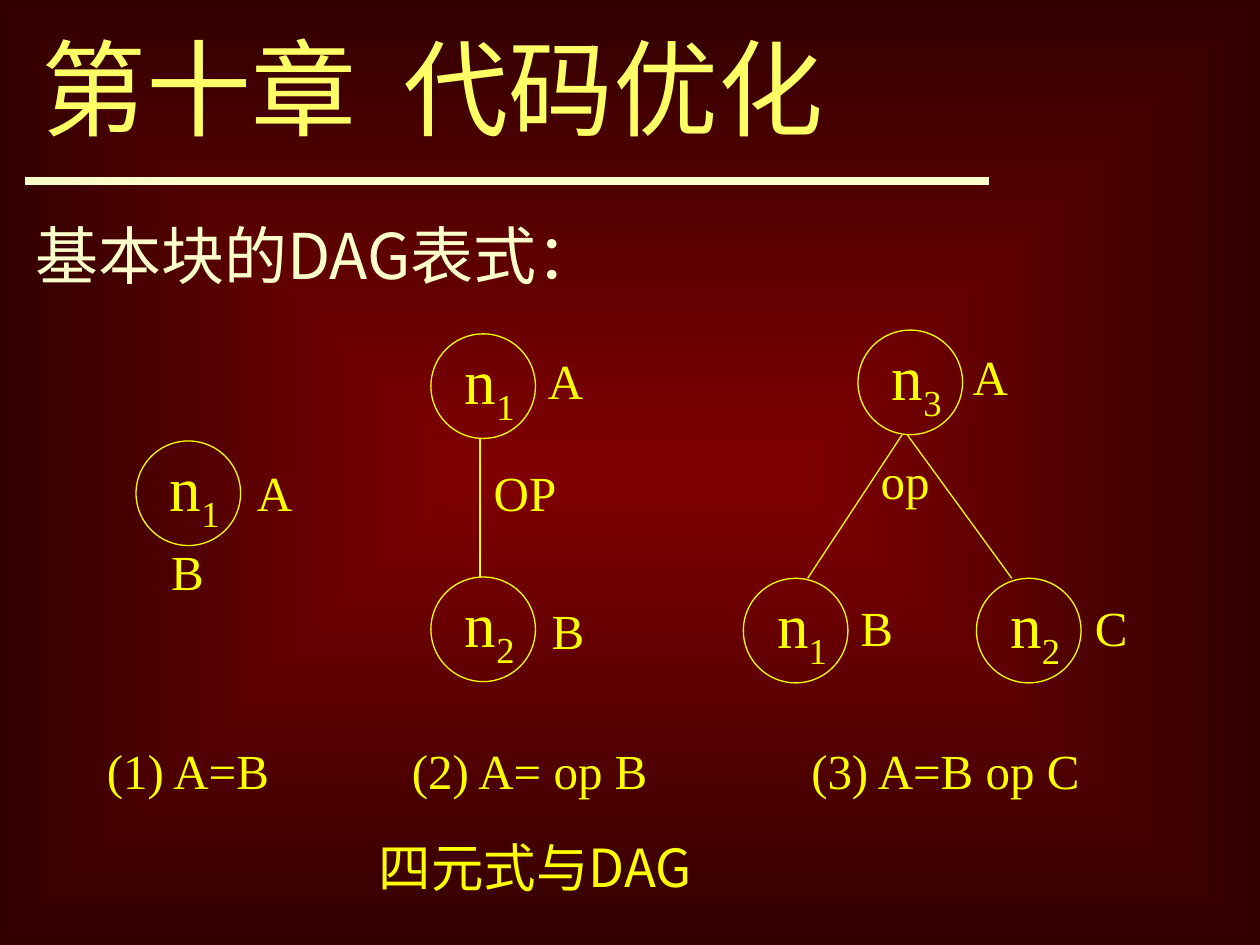
from lxml import etree
from pptx import Presentation
from pptx.dml.color import RGBColor
from pptx.enum.shapes import MSO_CONNECTOR as Connector, MSO_SHAPE as Shape
from pptx.enum.text import MSO_ANCHOR as Anchor, MSO_AUTO_SIZE as AutoSize, PP_ALIGN as Align
from pptx.oxml.ns import qn
from pptx.util import Inches, Pt

YELLOW, CREAM, TITLE_YELLOW = "FFFF00", "FFFFCC", "FFFF66"
SERIF, HAN, SANS = "Times New Roman", "Noto Sans CJK SC", "Arial"
DIAMETER = 0.83
SLACK = 0.03  # spare width that keeps each label on one line


def color(value):
    return RGBColor.from_string(value)


class SlideBuilder:
    """Holds the style and the current slide."""

    def __init__(self, presentation):
        self.slide = presentation.slides.add_slide(presentation.slide_layouts[5])

    def background(self, inner, outer):
        fill = self.slide.background.fill
        fill.gradient()
        for stop, value in zip(fill.gradient_stops, (inner, outer)):
            stop.color.rgb = color(value)
        gradient = self.slide.element.find(".//" + qn("a:gradFill"))
        gradient.remove(gradient.find(qn("a:lin")))
        path = etree.SubElement(gradient, qn("a:path"), path="rect")
        etree.SubElement(path, qn("a:fillToRect"), l="50000", t="50000", r="50000", b="50000")

    def format_run(self, run, size, value, font):
        run.font.size = Pt(size)
        run.font.name = font
        run.font.color.rgb = color(value)
        east_asian = etree.Element(qn("a:ea"), typeface=HAN)
        run.font._element.find(qn("a:latin")).addnext(east_asian)

    def title(self, text, left, top, width, height):
        title = self.slide.shapes.title
        title.left, title.top = Inches(left), Inches(top)
        title.width, title.height = Inches(width), Inches(height)
        frame = title.text_frame
        frame.text = text
        frame.vertical_anchor = Anchor.TOP
        frame.auto_size = AutoSize.NONE
        frame.paragraphs[0].alignment = Align.LEFT
        self.format_run(frame.paragraphs[0].runs[0], 60, TITLE_YELLOW, SANS)

    def text(self, text, left, top, width, height=0.57, size=28, value=YELLOW,
             font=SERIF, subscript=None):
        box = self.slide.shapes.add_textbox(
            Inches(left), Inches(top), Inches(width + SLACK), Inches(height))
        frame = box.text_frame
        frame.text = text
        frame.word_wrap = False
        frame.auto_size = AutoSize.SHAPE_TO_FIT_TEXT
        paragraph = frame.paragraphs[0]
        if subscript:
            paragraph.add_run().text = subscript
        for run in paragraph.runs:
            self.format_run(run, size, value, font)
        if subscript:
            paragraph.runs[1].font._element.set("baseline", "-25000")

    def line(self, start, end, value=YELLOW, width=0.75):
        points = [Inches(number) for number in (*start, *end)]
        connector = self.slide.shapes.add_connector(Connector.STRAIGHT, *points)
        connector.line.color.rgb = color(value)
        connector.line.width = Pt(width)
        etree.SubElement(connector.element.spPr, qn("a:effectLst"))

    def node(self, number, left, top):
        circle = self.slide.shapes.add_shape(
            Shape.OVAL, Inches(left), Inches(top), Inches(DIAMETER), Inches(DIAMETER))
        circle.shadow.inherit = False
        circle.fill.background()
        circle.line.color.rgb = color(YELLOW)
        circle.line.width = Pt(0.75)
        self.text("n", left + 0.17, top + 0.01, 0.59, 0.79, size=36, subscript=number)


def main():
    presentation = Presentation()
    presentation.slide_width, presentation.slide_height = Inches(10), Inches(7.5)
    builder = SlideBuilder(presentation)
    builder.background("800000", "330000")

    # Heading
    builder.title("第十章  代码优化", 0.23, 0.14, 7.36, 1.1)
    builder.line((0.2, 1.44), (7.85, 1.44), CREAM, 4.5)
    builder.text("基本块的DAG表式：", 0.18, 1.67, 4.99, 0.7, 36, CREAM, HAN)

    # Graph nodes
    for number, left, top in (
        ("1", 1.08, 3.5),
        ("1", 3.42, 2.65), ("2", 3.42, 4.58),
        ("3", 6.81, 2.62), ("1", 5.9, 4.59), ("2", 7.75, 4.59),
    ):
        builder.node(number, left, top)

    # Edges
    for start, end in (
        ((3.81, 3.48), (3.81, 4.58)),
        ((7.16, 3.45), (6.41, 4.59)),
        ((7.2, 3.45), (8.03, 4.59)),
    ):
        builder.line(start, end)

    # Node labels and operators
    for label, left, top, width in (
        ("A", 1.94, 3.62, 0.48), ("B", 1.26, 4.25, 0.46),
        ("A", 4.25, 2.73, 0.48), ("OP", 3.82, 3.62, 0.69), ("B", 4.28, 4.72, 0.46),
        ("A", 7.62, 2.7, 0.48), ("op", 6.89, 3.53, 0.59),
        ("B", 6.73, 4.69, 0.46), ("C", 8.59, 4.69, 0.46),
    ):
        builder.text(label, left, top, width)

    # Captions
    for caption, left, width in (
        ("(1) A=B", 0.75, 1.51), ("(2) A= op B", 3.17, 2.09), ("(3) A=B op C", 6.34, 2.35),
    ):
        builder.text(caption, left, 5.83, width)
    builder.text("四元式与DAG", 2.91, 6.58, 2.84, 0.6, 30, YELLOW, HAN)

    presentation.save("out.pptx")


if __name__ == "__main__":
    main()
